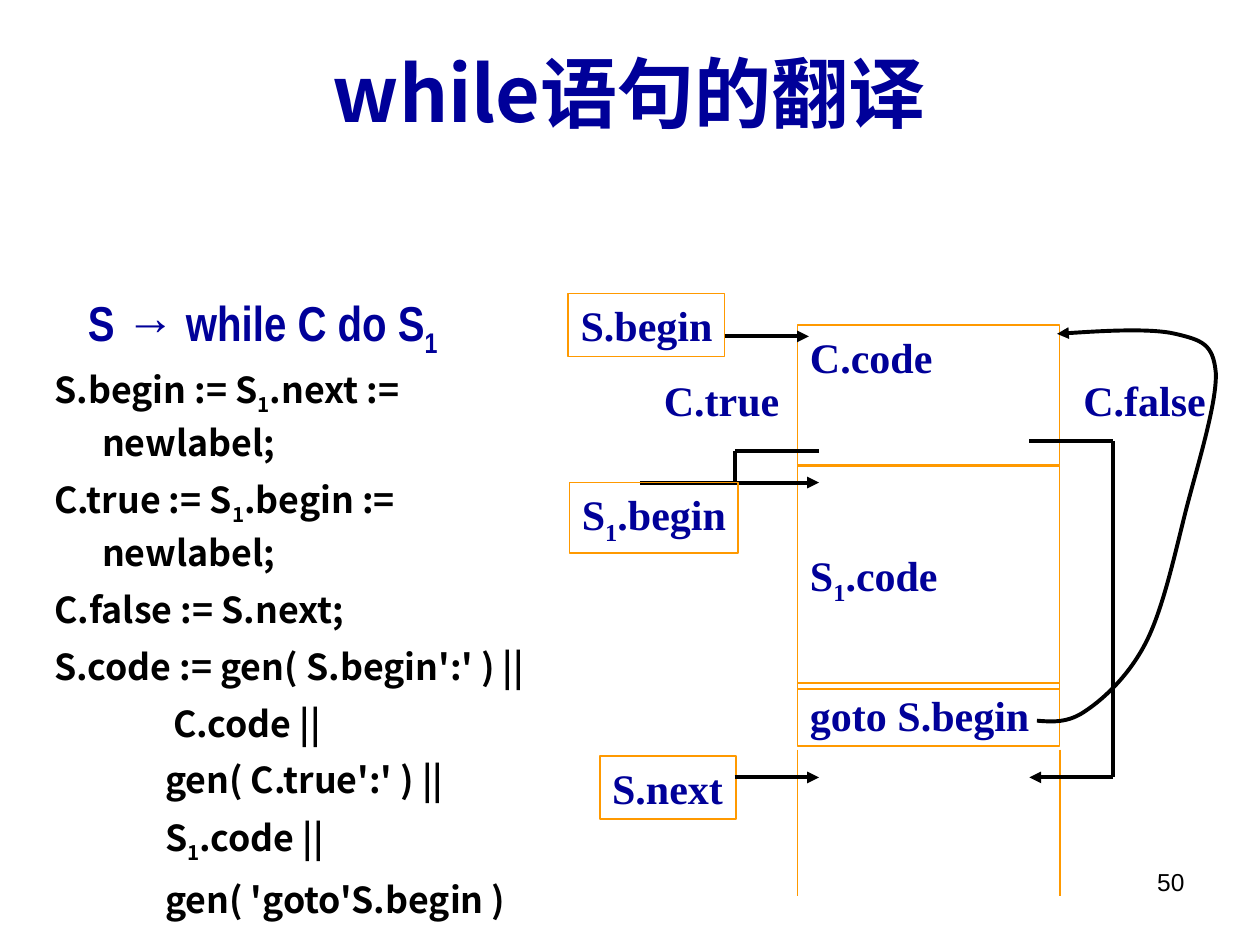
from itertools import pairwise

from lxml import etree
from pptx import Presentation
from pptx import util as u
from pptx.dml.color import RGBColor
from pptx.enum import shapes, text
from pptx.oxml import ns

NAVY = RGBColor(0x00, 0x00, 0x99)
ORANGE = RGBColor(0xFF, 0x99, 0x00)
BLACK = RGBColor(0, 0, 0)
SERIF = "Times New Roman"
CJK = "Noto Sans CJK JP"
PX = 9144

RULES = [
    "S.begin := S~1~.next := newlabel;",
    "C.true := S~1~.begin := newlabel;",
    "C.false := S.next;",
    "S.code := gen( S.begin':' ) ||",
    "\t\t C.code ||",
    "\t\tgen( C.true':' ) ||",
    "\t\tS~1~.code ||",
    "\t\tgen( 'goto'S.begin )",
]


def emu(*lengths):
    return [u.Emu(round(length * PX)) for length in lengths]


def shift(origin, box):
    return (origin[0] + box[0], origin[1] + box[1], *box[2:])


def child(parent, tag, **attributes):
    return etree.SubElement(parent, ns.qn(tag), attributes)


def place(holder, box):
    holder.left, holder.top, holder.width, holder.height = emu(*box)


def set_frame(frame, anchor=text.MSO_ANCHOR.TOP, wrap=True):
    frame.auto_size = text.MSO_AUTO_SIZE.NONE
    frame.word_wrap = wrap
    frame.vertical_anchor = anchor
    frame.margin_left, frame.margin_right, frame.margin_top, frame.margin_bottom = emu(10, 10, 5, 5)


def add_runs(paragraph, content, size, font, color, bold=True):
    for index, piece in enumerate(content.split("~")):
        if not piece:
            continue
        run = paragraph.add_run()
        run.text = piece
        run.font.size = u.Pt(size)
        run.font.name = font
        run.font.bold = bold
        run.font.color.rgb = color
        properties = run._r.get_or_add_rPr()
        child(properties, "a:ea", typeface=font)
        if index % 2:
            properties.set("baseline", "-25000")


def add_label(slide, box, content, size=24, font=SERIF, color=NAVY, bold=True,
              align=text.PP_ALIGN.LEFT, wrap=False):
    label = slide.shapes.add_textbox(*emu(*box))
    set_frame(label.text_frame, wrap=wrap)
    paragraph = label.text_frame.paragraphs[0]
    paragraph.alignment = align
    add_runs(paragraph, content, size, font, color, bold)


def add_framed(slide, box, content, anchor=text.MSO_ANCHOR.TOP, wrap=False):
    framed = slide.shapes.add_shape(shapes.MSO_SHAPE.RECTANGLE, *emu(*box))
    framed.shadow.inherit = False
    framed.fill.background()
    framed.line.color.rgb = ORANGE
    framed.line.width = u.Pt(1)
    set_frame(framed.text_frame, anchor, wrap)
    paragraph = framed.text_frame.paragraphs[0]
    paragraph.alignment = text.PP_ALIGN.LEFT
    add_runs(paragraph, content, 24, SERIF, NAVY)


def style_line(line, color, width, arrow):
    line.color.rgb = color
    line.width = u.Pt(width)
    if arrow:
        child(line._get_or_add_ln(), "a:tailEnd", type="triangle")


def add_path(slide, origin, points, color=BLACK, width=2.25, arrow=False):
    stops = [shift(origin, point) for point in points]
    for start, end in pairwise(stops):
        segment = slide.shapes.add_connector(shapes.MSO_CONNECTOR.STRAIGHT, *emu(*start, *end))
        style_line(segment.line, color, width, arrow and end == stops[-1])
        child(segment._element.spPr, "a:effectLst")


def add_curve(slide, origin, points):
    start, *stops = [shift(origin, point) for point in points]
    builder = slide.shapes.build_freeform(*start, scale=PX)
    builder.add_line_segments(stops, close=False)
    curve = builder.convert_to_shape()
    curve.shadow.inherit = False
    curve.fill.background()
    style_line(curve.line, BLACK, 2.25, True)
    outline = next(curve._element.iter(ns.qn("a:path")))
    steps = outline.findall(ns.qn("a:lnTo"))
    for first in range(0, len(steps), 3):
        bezier = child(outline, "a:cubicBezTo")
        for step in steps[first:first + 3]:
            bezier.append(step[0])
            outline.remove(step)


def fill_title(slide, box):
    title = slide.shapes.title
    place(title, box)
    set_frame(title.text_frame, text.MSO_ANCHOR.MIDDLE)
    paragraph = title.text_frame.paragraphs[0]
    paragraph.alignment = text.PP_ALIGN.CENTER
    add_runs(paragraph, "while语句的翻译", 44, CJK, NAVY)


def fill_rules(slide, box):
    body = slide.placeholders[1]
    place(body, box)
    frame = body.text_frame
    set_frame(frame)
    hanging = 38 * PX
    for index, rule in enumerate(RULES):
        paragraph = frame.add_paragraph() if index else frame.paragraphs[0]
        paragraph.line_spacing = 1.1
        paragraph.space_before = u.Pt(5.5 if index else 0)
        properties = paragraph._p.get_or_add_pPr()
        properties.set("marL", str(hanging))
        properties.set("indent", str(-hanging))
        child(properties, "a:buNone")
        tabs = child(properties, "a:tabLst")
        for inch in range(8):
            child(tabs, "a:tab", pos=str(u.Inches(inch)), algn="l")
        add_runs(paragraph, rule, 20.4, CJK, BLACK)


def draw_code_layout(slide, box):
    def at(*part):
        return shift(box, part)

    middle = text.MSO_ANCHOR.MIDDLE
    column, width = 183, 208
    add_framed(slide, at(column, 28, width, 111), "C.code", wrap=True)
    add_framed(slide, at(column, 140, width, 177), "S~1~.code", middle, True)
    add_framed(slide, at(column, 312, width, 50), "goto S.begin", middle, True)
    for edge in (column, column + width):
        add_path(slide, box, [(edge, 365), (edge, 481)], ORANGE, 1)

    add_label(slide, at(67, 62, 111, 50), "C.true")
    add_path(slide, box, [(200, 128), (133, 128), (133, 153)])
    add_path(slide, box, [(58, 153), (200, 153)], arrow=True)
    add_framed(slide, at(2, 153, 134, 56), "S~1~.begin")

    add_label(slide, at(400, 62, 117, 50), "C.false")
    add_path(slide, box, [(367, 120), (433, 120), (433, 387), (367, 387)], arrow=True)

    add_framed(slide, at(26, 370, 108, 50), "S.next")
    add_path(slide, box, [(133, 387), (200, 387)], arrow=True)
    add_framed(slide, at(1, 3, 124, 50), "S.begin")
    add_path(slide, box, [(125, 37), (192, 37)], arrow=True)

    add_curve(slide, box, [
        (373, 342),
        (385, 343), (398, 344), (412, 334),
        (427, 324), (447, 305), (460, 279),
        (473, 253), (482, 212), (491, 176),
        (500, 141), (516, 90), (515, 66),
        (513, 43), (504, 40), (483, 35),
        (462, 30), (404, 34), (389, 35),
    ])


def main():
    deck = Presentation()
    deck.slide_width, deck.slide_height = emu(1000, 750)
    slide = deck.slides.add_slide(deck.slide_layouts[1])
    fill_title(slide, (90, 39, 819, 67))
    draw_code_layout(slide, (450, 230, 516, 481))
    fill_rules(slide, (33, 283, 433, 425))
    add_label(slide, (60, 227, 297, 63), "S → while C do S~1", 28, "Arial Narrow")
    add_label(slide, (717, 683, 233, 52), "50", 14, "Arial", BLACK, False,
              text.PP_ALIGN.RIGHT, True)
    deck.save("out.pptx")


if __name__ == "__main__":
    main()
